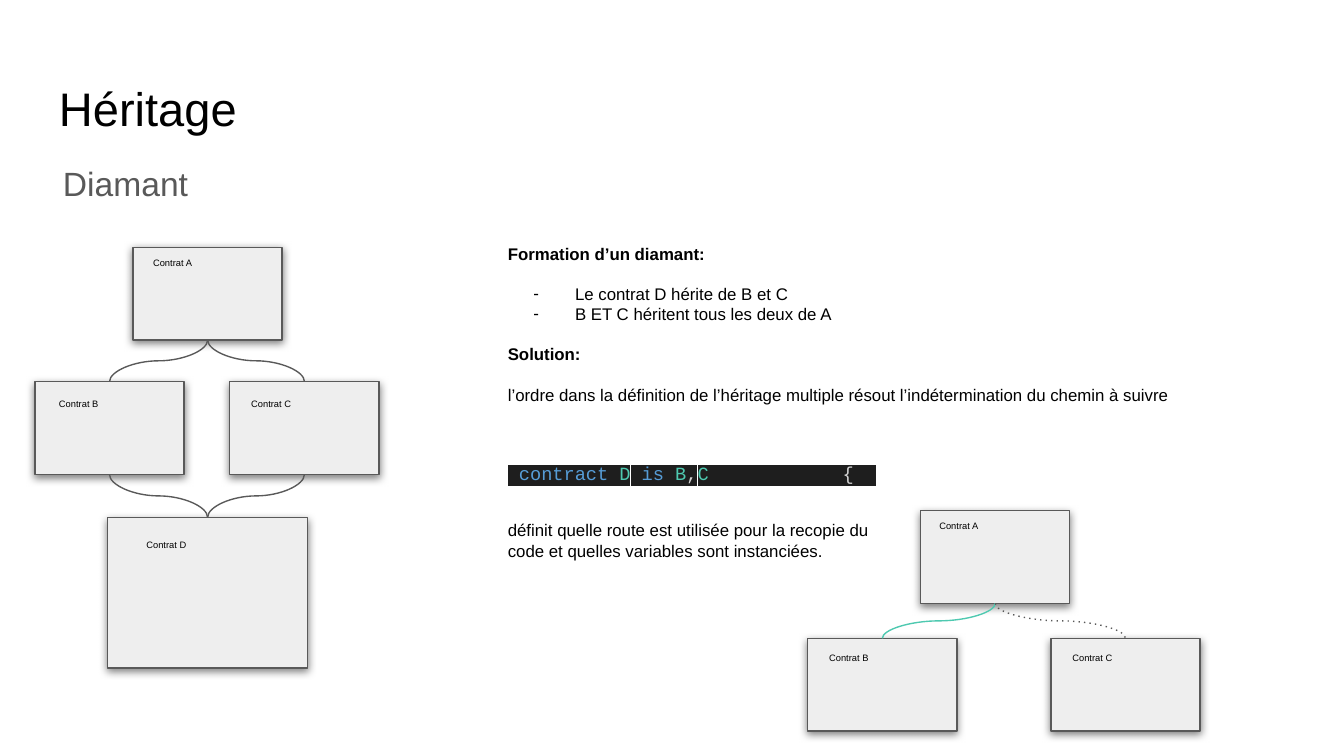
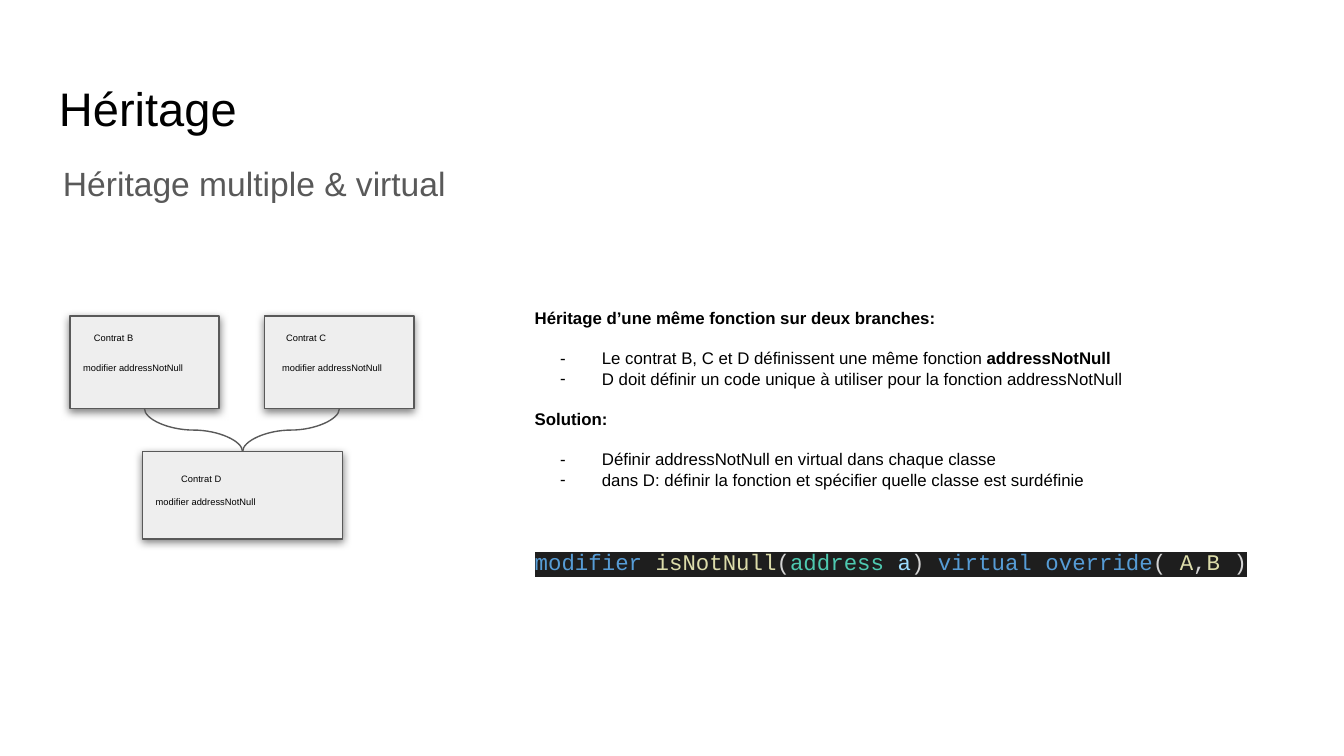
from dataclasses import dataclass

from lxml.etree import SubElement
from pptx import Presentation
from pptx.dml.color import RGBColor
from pptx.enum.shapes import MSO_CONNECTOR as CONN, MSO_SHAPE as SHAPE
from pptx.enum.text import MSO_AUTO_SIZE as FIT
from pptx.oxml.ns import qn
from pptx.util import Inches, Pt


@dataclass(frozen=True)
class Theme:
    font: str = "Arial"
    mono: str = "Courier New"
    ink: str = "000000"
    grey: str = "595959"
    panel: str = "EEEEEE"
    code_bg: str = "1E1E1E"
    keyword: str = "569CD6"
    kind: str = "4EC9B0"
    name: str = "DCDCAA"
    variable: str = "9CDCFE"
    plain: str = "D4D4D4"
    title: float = 25.2
    subtitle: float = 18
    body: float = 9
    label: float = 5
    line: float = 0.75
    gap: float = 10.8
    code_gap: float = 26
    code_spacing: float = 1.38


T = Theme()
BOX_W, BOX_H = 1.11, 0.69
D_W = 1.49


def rgb(value):
    return RGBColor.from_string(value)


def child(parent, tag, **attrs):
    return SubElement(parent, qn(tag), {k: str(v) for k, v in attrs.items()})


def format_run(r, size, color, font, bold, highlight):
    r.font.size = Pt(size)
    r.font.name = font
    r.font.bold = bold
    r.font.color.rgb = rgb(color)
    if highlight:
        rPr = r.font._element
        mark = child(rPr, "a:highlight")
        child(mark, "a:srgbClr", val=highlight)
        rPr.find(qn("a:solidFill")).addnext(mark)


def add_text(p, text, *, size=T.body, color=T.ink, font=T.font, bold=False,
             highlight=None, before=0, after=0, spacing=None, bullet=False):
    p.space_before, p.space_after = Pt(before), Pt(after)
    if spacing:
        p.line_spacing = spacing
    if bullet:
        pPr = p._p.get_or_add_pPr()
        pPr.set("marL", str(Inches(0.5)))
        pPr.set("indent", str(Inches(-0.31)))
        child(child(pPr, "a:buClr"), "a:srgbClr", val=T.ink)
        child(pPr, "a:buFont", typeface=T.font)
        child(pPr, "a:buChar", char="-")
    runs = [(text, {})] if isinstance(text, str) else text
    for content, extra in runs:
        fmt = dict(size=size, color=color, font=font, bold=bold,
                   highlight=highlight) | extra
        for i, part in enumerate(content.split("\n")):
            if i:
                p.add_line_break()
            r = p.add_run()
            r.text = part
            format_run(r, **fmt)


def text_box(s, box, paras, top=0.1, grow=True):
    sp = s.shapes.add_textbox(*map(Inches, box))
    tf = sp.text_frame
    tf.word_wrap = True
    tf.auto_size = FIT.SHAPE_TO_FIT_TEXT if grow else FIT.NONE
    tf.margin_left = tf.margin_right = tf.margin_bottom = Inches(0.1)
    tf.margin_top = Inches(top)
    for i, (text, fmt) in enumerate(paras):
        p = tf.add_paragraph() if i else tf.paragraphs[0]
        add_text(p, text, **fmt)


def label(s, x, y, text):
    text_box(s, (x, y, 1.68, 0.29), [(text, dict(size=T.label))])


def contract(s, box, letter, dx, dy, modifier_at=None):
    x, y = box[:2]
    sp = s.shapes.add_shape(SHAPE.RECTANGLE, *map(Inches, box))
    sp.shadow.inherit = False
    sp.fill.solid()
    sp.fill.fore_color.rgb = rgb(T.panel)
    sp.line.color.rgb = rgb(T.grey)
    sp.line.width = Pt(T.line)
    effects = sp._element.spPr.find(qn("a:effectLst"))
    shadow = child(effects, "a:outerShdw", blurRad=Pt(4.5), dist=Pt(1.5),
                   dir=90 * 60000, algn="bl", rotWithShape=0)
    child(child(shadow, "a:srgbClr", val=T.ink), "a:alpha", val=50000)
    label(s, x + dx, y + dy, f"Contrat {letter}")
    if modifier_at:
        label(s, x + modifier_at[0], y + modifier_at[1],
              "modifier addressNotNull")


def link(s, upper, lower, color=T.grey, dash=None):
    x1, y1 = upper[0] + upper[2] / 2, upper[1] + upper[3]
    x2, y2 = lower[0] + lower[2] / 2, lower[1]
    cx, cy = (x1 + x2) / 2, (y1 + y2) / 2
    half_w, half_h = (y2 - y1) / 2, abs(x2 - x1) / 2
    turn = 90
    if x2 > x1:
        half_w, turn = -half_w, 270
    c = s.shapes.add_connector(CONN.CURVE, *map(Inches, (
        cx - half_w, cy - half_h, cx + half_w, cy + half_h)))
    spPr = c._element.spPr
    spPr.find(qn("a:xfrm")).set("rot", str(turn * 60000))
    c.line.color.rgb = rgb(color)
    c.line.width = Pt(T.line)
    if dash:
        child(spPr.find(qn("a:ln")), "a:prstDash", val=dash)
    child(spPr, "a:effectLst")


def heading(s, subtitle, height=0.53):
    text_box(s, (0.34, 0.49, 9.32, 0.63),
             [("Héritage", dict(size=T.title))], grow=False)
    text_box(s, (0.37, 1.07, 9.32, height),
             [(subtitle, dict(size=T.subtitle, color=T.grey, spacing=1.15,
                              after=12))], grow=False)


def merge_tree(s, x, y, d_height, modifiers=(None, None, None)):
    b = (x, y, BOX_W, BOX_H)
    c = (x + 1.45, y, BOX_W, BOX_H)
    d = (x + 0.54, y + 1.01, D_W, d_height)
    offsets = ((0.08, 0.08), (0.06, 0.08), (0.19, 0.12))
    for box, letter, at, mod in zip((b, c, d), "BCD", offsets, modifiers):
        contract(s, box, letter, *at, modifier_at=mod)
    link(s, b, d)
    link(s, c, d)
    return b, c


def diamond(s, x, y):
    a = (x + 0.73, y, BOX_W, BOX_H)
    contract(s, a, "A", 0.05, 0.03)
    for box in merge_tree(s, x, y + 1, 1.12):
        link(s, a, box)


def route_tree(s, x, y):
    a = (x + 0.84, y, BOX_W, BOX_H)
    b = (x, y + 0.95, BOX_W, BOX_H)
    c = (x + 1.81, y + 0.95, BOX_W, BOX_H)
    contract(s, a, "A", 0.04, 0.03)
    contract(s, b, "B", 0.06, 0.06)
    contract(s, c, "C", 0.06, 0.06)
    link(s, a, b, color=T.kind)
    link(s, a, c, dash="dot")


def header(text, before=T.gap):
    return text, dict(bold=True, before=before)


def bullets(*items):
    return [(item, dict(bullet=True, before=0 if i else T.gap))
            for i, item in enumerate(items)]


def code(size, *tokens):
    runs = [(text, dict(color=color)) for text, color in tokens]
    return runs, dict(size=size, font=T.mono, highlight=T.code_bg,
                      spacing=T.code_spacing, before=T.code_gap)


def explanation(s, x, y, height, paras):
    text_box(s, (x, y, 5.95, height), paras, top=0.25)


def diamond_slide(prs):
    s = prs.slides.add_slide(prs.slide_layouts[6])
    heading(s, "Diamant", 3.74)
    diamond(s, 0.26, 1.84)
    explanation(s, 3.68, 1.56, 2.74, [
        header("Formation d’un diamant:", 0),
        *bullets("Le contrat D hérite de B et C",
                 "B ET C héritent tous les deux de A"),
        header("Solution:"),
        ("l’ordre dans la définition de l’héritage multiple résout "
         "l’indétermination du chemin à suivre", dict(before=T.gap)),
        code(10, (" contract", T.keyword), (" ", T.plain), ("D", T.kind),
             (" ", T.plain), ("is", T.keyword), (" ", T.plain),
             ("B", T.kind), (",", T.plain), ("C", T.kind),
             ("            {  ", T.plain)),
        ("définit quelle route est utilisée pour la recopie du\n"
         "code et quelles variables sont instanciées.", dict(before=19.2)),
    ])
    route_tree(s, 6.01, 3.8)


def virtual_slide(prs):
    s = prs.slides.add_slide(prs.slide_layouts[6])
    heading(s, "Héritage multiple & virtual")
    merge_tree(s, 0.52, 2.35, 0.65, ((0, 0.3), (0.03, 0.3), (0, 0.29)))
    explanation(s, 3.88, 2.04, 2.51, [
        header("Héritage d’une même fonction sur deux branches:", 0),
        *bullets([("Le contrat B, C et D définissent une même fonction ", {}),
                  ("addressNotNull", dict(bold=True))],
                 "D doit définir un code unique à utiliser pour la fonction "
                 "addressNotNull"),
        header("Solution:"),
        *bullets("Définir addressNotNull en virtual dans chaque classe",
                 "dans D: définir la fonction et spécifier quelle classe est "
                 "surdéfinie"),
        code(12, ("modifier", T.keyword), (" ", T.plain),
             ("isNotNull", T.name), ("(", T.plain), ("address", T.kind),
             (" ", T.plain), ("a", T.variable), (") ", T.plain),
             ("virtual", T.keyword), (" ", T.plain),
             ("override", T.keyword), ("( ", T.plain), ("A", T.name),
             (",", T.plain), ("B", T.name), (" )", T.plain)),
    ])


def main():
    prs = Presentation()
    prs.slide_width = Inches(10)
    prs.slide_height = prs.slide_width * 9 // 16
    diamond_slide(prs)
    virtual_slide(prs)
    prs.save("out.pptx")


if __name__ == "__main__":
    main()
